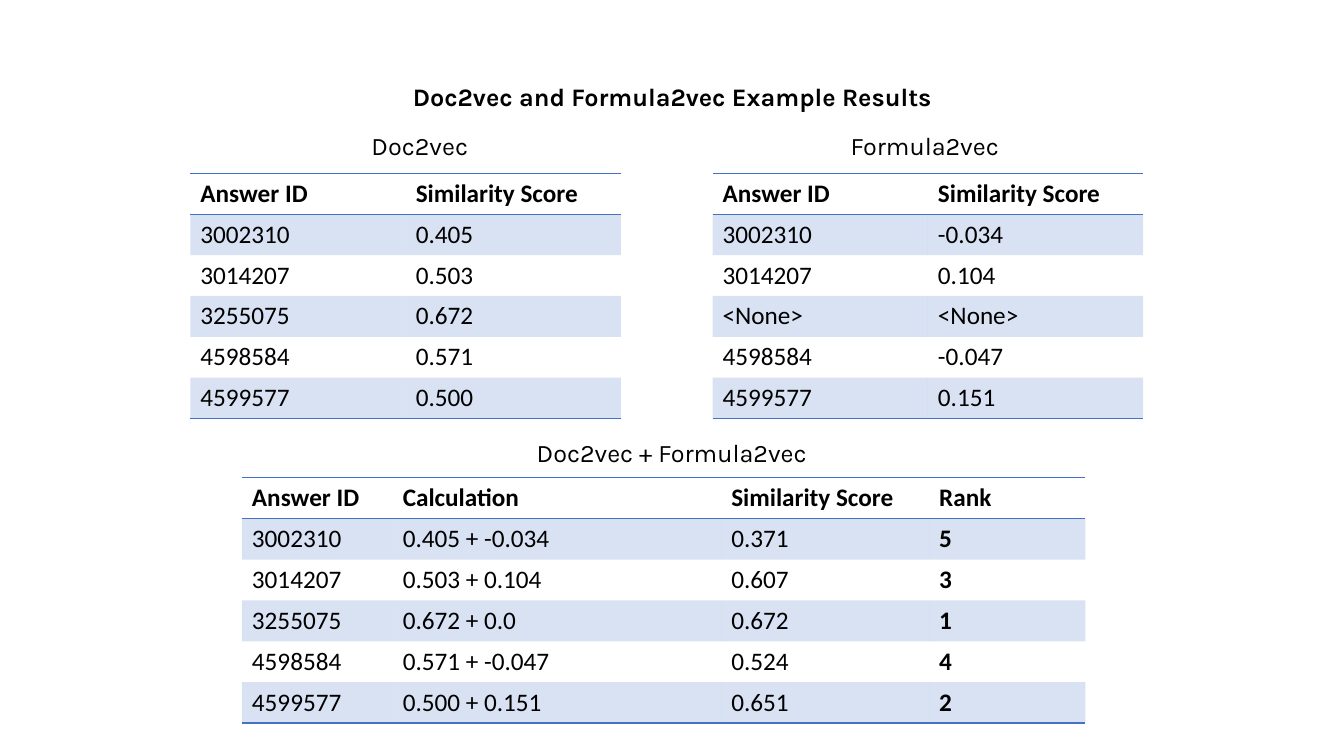
from dataclasses import dataclass

from lxml import etree
from pptx import Presentation
from pptx.dml.color import RGBColor
from pptx.enum import text
from pptx.oxml import ns
from pptx.util import Pt


@dataclass(frozen=True)
class Theme:
    ink: RGBColor = RGBColor(0, 0, 0)
    blue: RGBColor = RGBColor(0x44, 0x72, 0xC4)
    band: int = 20  # opacity of the row bands, percent
    head: str = "Karla"
    body: str = "Calibri"
    size: int = 18
    line: int = 1
    row: float = 29.2
    plain: str = "{2D5ABB26-0587-4C30-8999-92F81FD0307C}"  # no style, no grid


THEME = Theme()

# Scores by answer
IDS = ["3002310", "3014207", "3255075", "4598584", "4599577"]
DOC = ["0.405", "0.503", "0.672", "0.571", "0.500"]
FORM = ["-0.034", "0.104", None, "-0.047", "0.151"]
TOTAL = ["0.371", "0.607", "0.672", "0.524", "0.651"]
RANK = ["5", "3", "1", "4", "2"]
NONE = "<None>"


def add_run(para, words, font, bold=False):
    run = para.add_run()
    run.text = words
    run.font.name = font
    run.font.size = Pt(THEME.size)
    run.font.bold = bold
    run.font.color.rgb = THEME.ink


def add_title(slide, words, left, top, width, bold=False):
    box = slide.shapes.add_textbox(Pt(left), Pt(top), Pt(width), Pt(29))
    frame = box.text_frame
    frame.word_wrap = True
    frame.auto_size = text.MSO_AUTO_SIZE.SHAPE_TO_FIT_TEXT
    para = frame.paragraphs[0]
    para.alignment = text.PP_ALIGN.CENTER
    add_run(para, words, THEME.head, bold)


def add_edge(cell, tag):
    props = cell._tc.get_or_add_tcPr()
    edge = etree.SubElement(props, ns.qn(tag), w=str(Pt(THEME.line)))
    fill = etree.SubElement(edge, ns.qn("a:solidFill"))
    etree.SubElement(fill, ns.qn("a:srgbClr"), val=str(THEME.blue))


def add_band(cell):
    cell.fill.solid()
    cell.fill.fore_color.rgb = THEME.blue
    tint = cell._tc.tcPr.find(".//" + ns.qn("a:solidFill") + "[last()]")
    tint = cell._tc.tcPr.find(ns.qn("a:solidFill")).find(ns.qn("a:srgbClr"))
    etree.SubElement(tint, ns.qn("a:alpha"), val=str(THEME.band * 1000))


def add_grid(slide, rows, left, top, widths, strong=()):
    """Draw a ruled, banded table; strong holds the bold columns."""
    frame = slide.shapes.add_table(
        len(rows), len(widths), Pt(left), Pt(top),
        Pt(sum(widths)), Pt(THEME.row * len(rows)))
    grid = frame.table
    grid.horz_banding = False
    grid._tbl.tblPr.find(ns.qn("a:tableStyleId")).text = THEME.plain
    for col, width in zip(grid.columns, widths):
        col.width = Pt(width)
    for r, row in enumerate(rows):
        grid.rows[r].height = Pt(THEME.row)
        for c, words in enumerate(row):
            cell = grid.cell(r, c)
            add_run(cell.text_frame.paragraphs[0], words, THEME.body,
                    r == 0 or c in strong)
            # Rules around the header and below the last row
            if r == 0:
                add_edge(cell, "a:lnT")
            if r in (0, len(rows) - 1):
                add_edge(cell, "a:lnB")
            if r % 2:
                add_band(cell)
            else:
                cell.fill.background()


def main():
    deck = Presentation()
    deck.slide_width, deck.slide_height = Pt(960), Pt(540)
    slide = deck.slides.add_slide(deck.slide_layouts[6])

    # Headings
    left, half = 119.5, 360.75
    add_title(slide, "Doc2vec and Formula2vec Example Results",
              left, 54.7, 2 * half, bold=True)
    add_title(slide, "Doc2vec", left, 89.3, half)
    add_title(slide, "Formula2vec", left + half, 89.3, half)
    add_title(slide, "Doc2vec + Formula2vec", 299.5, 309, half)

    # Scores of each model
    head = ("Answer ID", "Similarity Score")
    pair = (153.8, 153.8)
    add_grid(slide, [head, *zip(IDS, DOC)], 136, 123.8, pair)
    form = [(key if score else NONE, score or NONE)
            for key, score in zip(IDS, FORM)]
    add_grid(slide, [head, *form], 509, 123.8, pair)

    # Combined scores
    sums = [f"{doc} + {score or '0.0'}" for doc, score in zip(DOC, FORM)]
    rows = [("Answer ID", "Calculation", "Similarity Score", "Rank"),
            *zip(IDS, sums, TOTAL, RANK)]
    add_grid(slide, rows, 172.8, 341.3, (107.7, 234.7, 148.5, 111.6),
             strong=(3,))

    deck.save("out.pptx")


if __name__ == "__main__":
    main()
